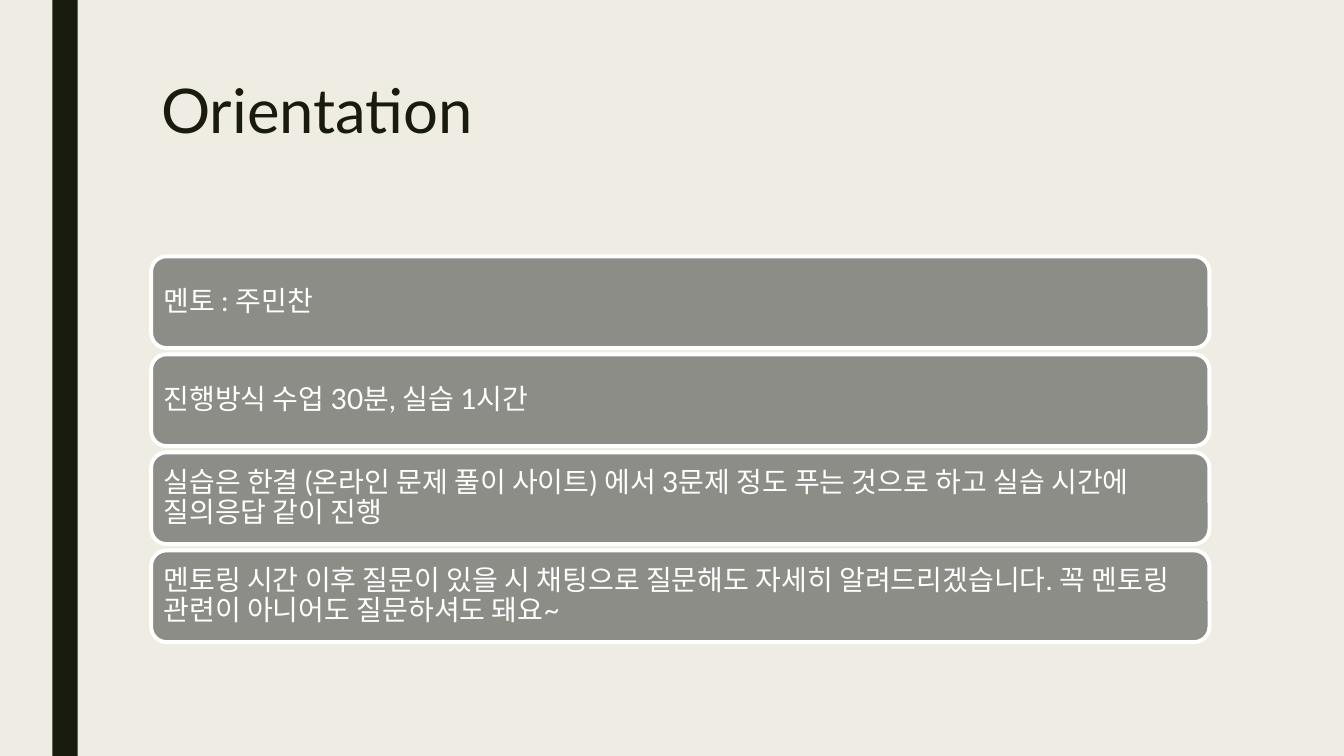
from pptx import Presentation
from pptx.dml.color import RGBColor
from pptx.enum import shapes, text
from pptx.util import Cm, Pt

CREAM = RGBColor(0xEF, 0xED, 0xE3)
DARK = RGBColor(0x19, 0x1B, 0x0E)
GRAY = RGBColor(0x8C, 0x8D, 0x86)
WHITE = RGBColor(0xFF, 0xFF, 0xFF)

LEFT, WIDTH = Cm(3.81), Cm(26.67)
TOP, HEIGHT, STEP = Cm(6.46), Cm(2.31), Cm(2.47)

NOTES = [
    "멘토 : 주민찬",
    "진행방식 수업 30분, 실습 1시간",
    "실습은 한결 (온라인 문제 풀이 사이트) 에서 3문제 정도 푸는 것으로 "
    "하고 실습 시간에 질의응답 같이 진행",
    "멘토링 시간 이후 질문이 있을 시 채팅으로 질문해도 자세히 "
    "알려드리겠습니다. 꼭 멘토링 관련이 아니어도 질문하셔도 돼요~",
]


def write(shape, words, size, color, anchor, spacing=0.9, inset=None):
    frame = shape.text_frame
    frame.word_wrap = True
    frame.auto_size = text.MSO_AUTO_SIZE.NONE
    frame.vertical_anchor = anchor
    if inset is not None:
        frame.margin_left = frame.margin_right = inset
        frame.margin_top = frame.margin_bottom = inset
    para = frame.paragraphs[0]
    para.alignment = text.PP_ALIGN.LEFT
    para.line_spacing = spacing
    run = para.add_run()
    run.text = words
    run.font.name = "Lato"
    run.font.size = Pt(size)
    run.font.color.rgb = color


def block(slide, kind, box, fill, line=None):
    shape = slide.shapes.add_shape(kind, *box)
    shape.shadow.inherit = False
    shape.fill.solid()
    shape.fill.fore_color.rgb = fill
    if line is None:
        shape.line.fill.background()
    else:
        shape.line.color.rgb = line
        shape.line.width = Pt(2.75)
    return shape


def head(slide, words):
    title = slide.shapes.title
    title.left, title.top = LEFT, Cm(1.9)
    title.width, title.height = WIDTH, Cm(4.11)
    write(title, words, 44, DARK, text.MSO_ANCHOR.TOP, spacing=0.89)


def main():
    deck = Presentation()
    deck.slide_width, deck.slide_height = Cm(33.87), Cm(19.05)
    slide = deck.slides.add_slide(deck.slide_layouts[5])
    slide.background.fill.solid()
    slide.background.fill.fore_color.rgb = CREAM

    kinds = shapes.MSO_SHAPE
    block(slide, kinds.RECTANGLE,
          (Cm(1.32), 0, Cm(0.64), deck.slide_height), DARK)
    head(slide, "Orientation")
    for row, note in enumerate(NOTES):
        card = block(slide, kinds.ROUNDED_RECTANGLE,
                     (LEFT, TOP + row * STEP, WIDTH, HEIGHT), GRAY, WHITE)
        write(card, note, 20, WHITE, text.MSO_ANCHOR.MIDDLE, inset=Cm(0.2))
    deck.save("out.pptx")


if __name__ == "__main__":
    main()
